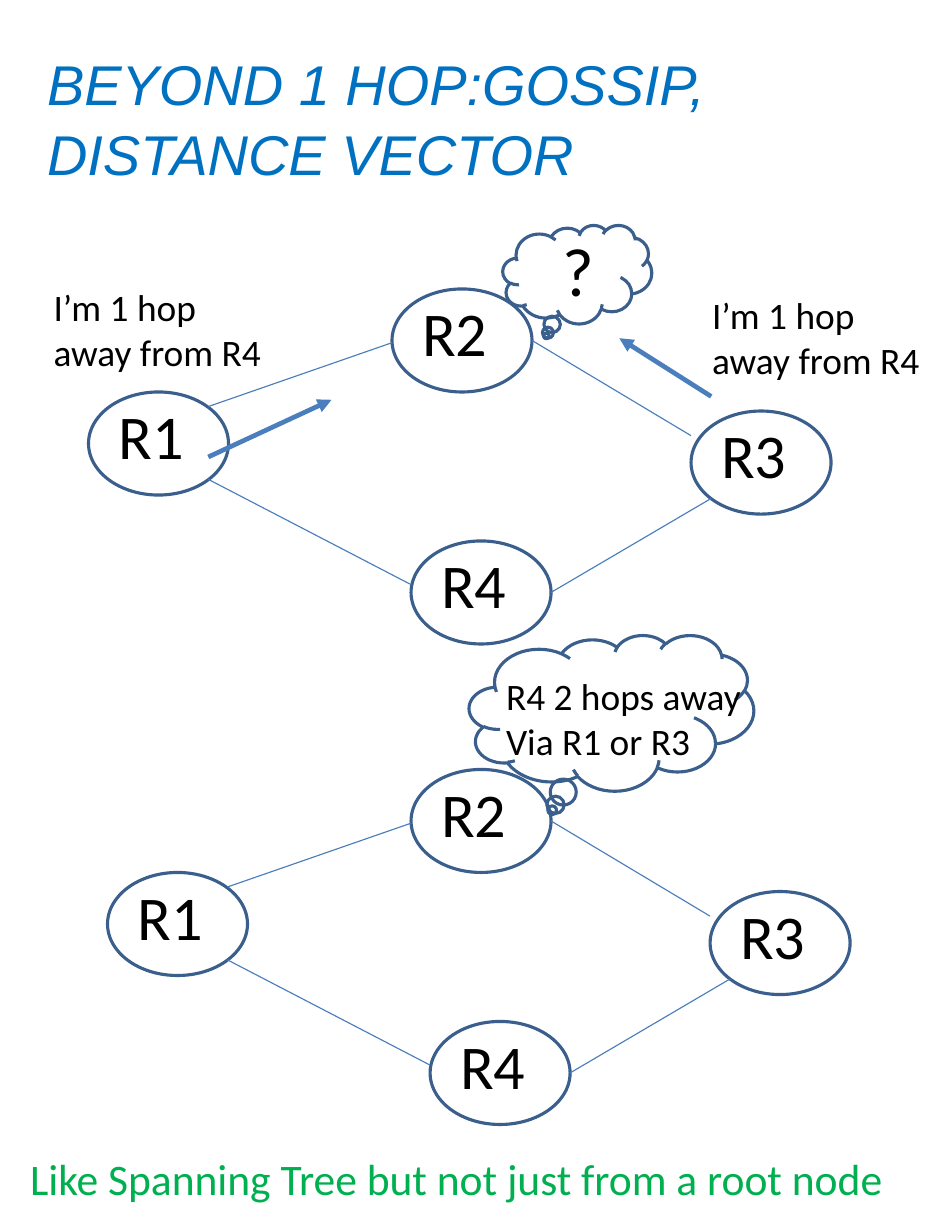
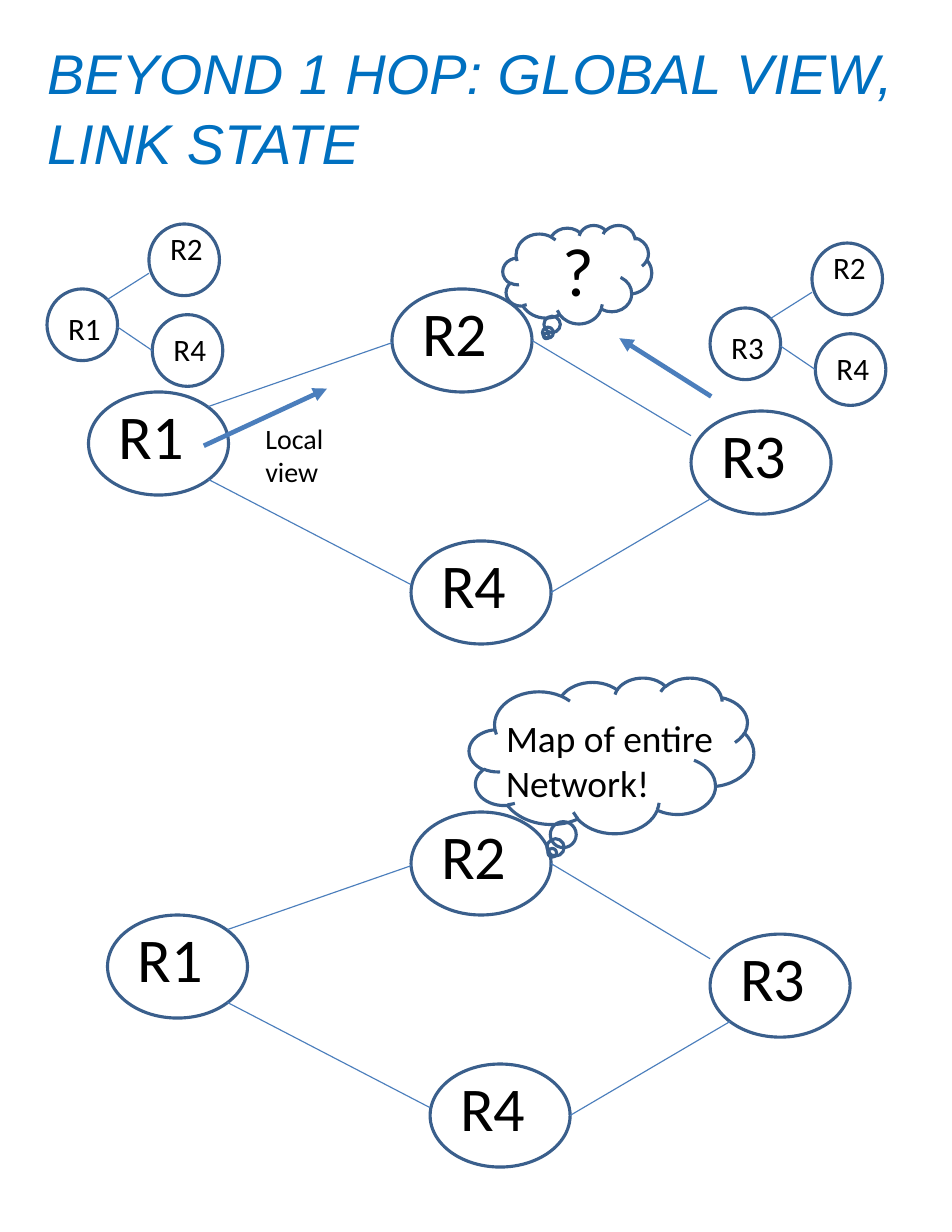
from lxml import etree
from pptx import Presentation
from pptx.dml.color import RGBColor
from pptx.enum.shapes import MSO_CONNECTOR, MSO_SHAPE
from pptx.enum.text import MSO_ANCHOR, MSO_AUTO_SIZE
from pptx.oxml.ns import qn
from pptx.util import Pt

STRAIGHT = MSO_CONNECTOR.STRAIGHT
OVAL, CLOUD = MSO_SHAPE.OVAL, MSO_SHAPE.CLOUD_CALLOUT
TOP, MIDDLE = MSO_ANCHOR.TOP, MSO_ANCHOR.MIDDLE
FIT_SHAPE = MSO_AUTO_SIZE.SHAPE_TO_FIT_TEXT

EMU_PER_PX = 9144
COLORS = {
    "title": "0070C0",
    "text": "000000",
    "outline": "3A5F8C",
    "link": "4B7EBC",
    "remark": "00B050",
}
BLANK_LAYOUT = 6

ROUTERS = {"R1": (0, 92), "R2": (271, 0), "R4": (288, 225), "R3": (538, 109)}
ROUTER_LINKS = [
    (107, 105, 271, 48),
    (107, 170, 288, 264),
    (396, 46, 538, 131),
    (413, 271, 556, 187),
]
LOCAL_LINKS = [(53, 68, 91, 44), (63, 92, 94, 113)]


def px(length):
    return length * EMU_PER_PX


def write_text(frame, text, size=24, color="text", font="Calibri", italic=False, spacing=None):
    for index, line in enumerate(text.split("\n")):
        para = frame.paragraphs[0] if index == 0 else frame.add_paragraph()
        para.line_spacing = spacing
        span = para.add_run()
        span.text = line
        span.font.name = font
        span.font.size = Pt(size)
        span.font.italic = italic
        span.font.color.rgb = RGBColor.from_string(COLORS[color])


class Sketch:
    def __init__(self, deck):
        self.deck = deck
        self.page = None

    def new_page(self, title, top):
        self.page = self.deck.slides.add_slide(self.deck.slide_layouts[BLANK_LAYOUT])
        self.text(title, 42, top, 765, 121, inset=0, anchor=MIDDLE,
                  size=36, color="title", font="Arial", italic=True, spacing=1.04)

    def text(self, text, left, top, width, height, wrap=True, inset=None, anchor=TOP, **style):
        box = self.page.shapes.add_textbox(px(left), px(top), px(width), px(height))
        frame = box.text_frame
        frame.word_wrap = wrap
        frame.auto_size = FIT_SHAPE
        frame.vertical_anchor = anchor
        if inset is not None:
            frame.margin_left = frame.margin_right = px(inset)
            frame.margin_top = frame.margin_bottom = px(inset)
        write_text(frame, text, **style)

    def outline(self, kind, left, top, width, height):
        shape = self.page.shapes.add_shape(kind, px(left), px(top), px(width), px(height))
        shape.shadow.inherit = False
        shape.fill.background()
        shape.line.color.rgb = RGBColor.from_string(COLORS["outline"])
        shape.line.width = Pt(2)

    def line(self, start_x, start_y, end_x, end_y, weight=0.75, arrow=False):
        link = self.page.shapes.add_connector(
            STRAIGHT, px(start_x), px(start_y), px(end_x), px(end_y))
        link.line.color.rgb = RGBColor.from_string(COLORS["link"])
        link.line.width = Pt(weight)
        if arrow:
            etree.SubElement(link.line._get_or_add_ln(), qn("a:tailEnd"), type="triangle")
        etree.SubElement(link._element.spPr, qn("a:effectLst"))

    def links(self, left, top, segments):
        for start_x, start_y, end_x, end_y in segments:
            self.line(left + start_x, top + start_y, left + end_x, top + end_y)

    def network(self, left, top):
        for name, (x, y) in ROUTERS.items():
            self.text(name, left + x + 17, top + y, 108, 77, size=40)
            self.outline(OVAL, left + x, top + y, 125, 92)
        self.links(left, top, ROUTER_LINKS)

    def local_view(self, router, left, top):
        nodes = [(router, 0, 58, 13), ("R2", 91, 0, 0), ("R4", 94, 81, 9)]
        for name, x, y, drop in nodes:
            self.outline(OVAL, left + x, top + y, 63, 64)
            self.text(name, left + x + 9, top + y + drop, 54, 44, size=20)
        self.links(left, top, LOCAL_LINKS)

    def before_and_after(self, after_top, thought, thought_width, arrow_start):
        self.network(79, 258)
        self.network(96, after_top)
        self.outline(CLOUD, 449, 201, 133, 88)
        self.outline(CLOUD, 419, after_top - 120, 254, 139)
        x, y = arrow_start
        self.line(x, y, x + 110, y - 51, weight=3, arrow=True)
        self.line(635, 354, 553, 302, weight=3, arrow=True)
        self.text("?", 492, 199, 49, 84, wrap=False, size=44)
        self.text(thought, 442, after_top - 91, thought_width, 91, wrap=False)


def main():
    deck = Presentation()
    deck.slide_width, deck.slide_height = px(850), px(1100)
    sketch = Sketch(deck)

    sketch.new_page("BEYOND 1 HOP:GOSSIP, DISTANCE VECTOR", 44)
    sketch.before_and_after(687, "R4 2 hops away\nVia R1 or R3", 231, (186, 408))
    for left, top in [(38, 249), (626, 256)]:
        sketch.text("I’m 1 hop away from R4", left, top, 217, 90)
    sketch.text("Like Spanning Tree but not just from a root node",
                17, 1024, 833, 57, size=28, color="remark")

    sketch.new_page("BEYOND 1 HOP: GLOBAL VIEW, LINK STATE", 34)
    sketch.before_and_after(725, "Map of entire\nNetwork!", 207, (182, 398))
    sketch.local_view("R1", 42, 200)
    sketch.local_view("R3", 634, 217)
    sketch.text("Local view", 227, 371, 79, 71, size=18)

    deck.save("out.pptx")


if __name__ == "__main__":
    main()
